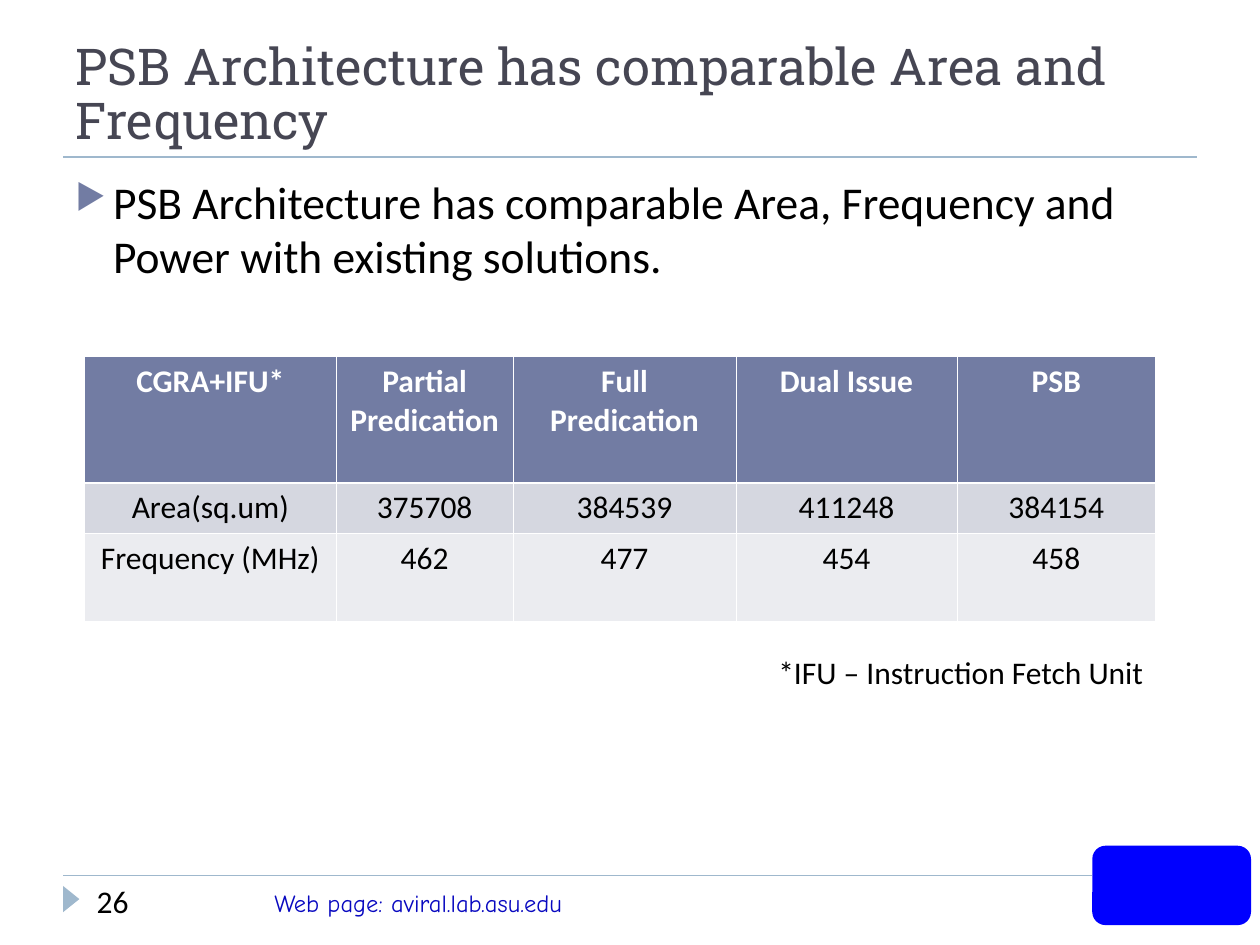
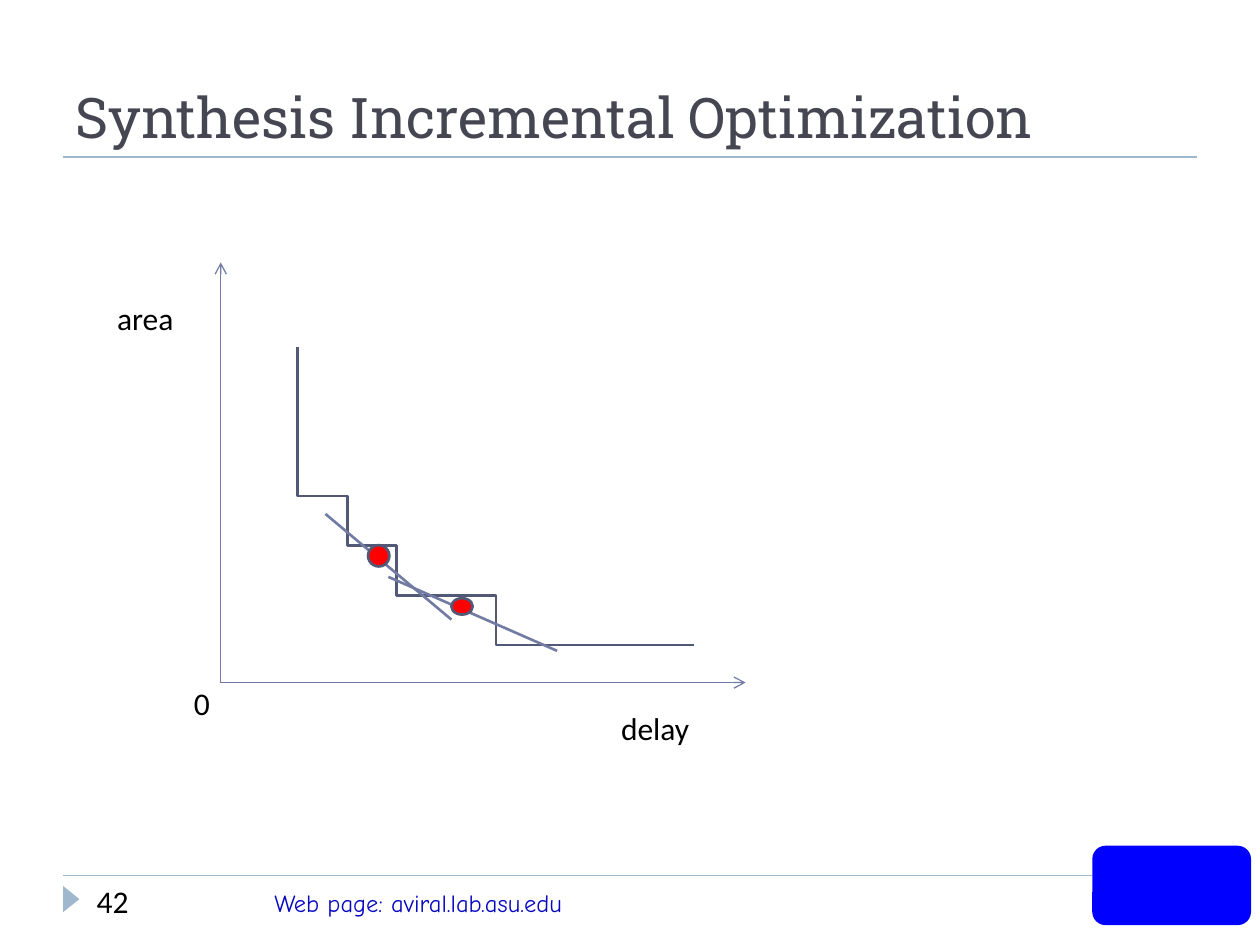
from typing import NamedTuple

from pptx import Presentation
from pptx.dml.color import RGBColor
from pptx.enum.shapes import MSO_CONNECTOR, MSO_SHAPE
from pptx.enum.text import MSO_ANCHOR, MSO_AUTO_SIZE, PP_ALIGN
from pptx.oxml.ns import qn
from pptx.util import Cm, Pt
from lxml.etree import SubElement

INK = RGBColor(0x00, 0x00, 0x00)
WHITE = RGBColor(0xFF, 0xFF, 0xFF)
TITLE_GREY = RGBColor(0x46, 0x46, 0x53)
RULE_BLUE = RGBColor(0x9F, 0xB8, 0xCD)
LINK_BLUE = RGBColor(0x08, 0x08, 0xC0)
BADGE_BLUE = RGBColor(0x00, 0x00, 0xFF)
ACCENT = RGBColor(0x72, 0x7C, 0xA3)
CURVE_BLUE = RGBColor(0x52, 0x59, 0x77)
POINT_RED = RGBColor(0xFF, 0x00, 0x00)
BAND_DARK = RGBColor(0xD5, 0xD7, 0xE0)
BAND_LIGHT = RGBColor(0xEB, 0xEC, 0xF0)

BODY_FONT = "Calibri"
TITLE_FONT = "Roboto Slab"
LINK_FONT = "Comic Neue"

THIN_BORDER, HEADER_BORDER = 0.45, 1.47


class Box(NamedTuple):
    """Left, top, width and height in centimetres."""
    left: float
    top: float
    width: float
    height: float

    def lengths(self):
        return [Cm(side) for side in self]


HEADER = Box(1.27, 0.43, 22.86, 2.74)
FOOTER = Box(1.27, 17.65, 22.86, 1.4)
STATEMENT = Box(1.27, 3.38, 22.86, 13.72)
RESULTS = Box(1.7, 7.19, 21.6, 5.34)
PLOT = Box(4.45, 5.29, 10.58, 8.47)

RESULT_COLUMNS = [5.08, 3.56, 4.5, 4.45, 4.01]
RESULT_HEIGHTS = [2.54, 1.02, 1.78]
RESULT_ROWS = [
    ["CGRA+IFU*", "Partial Predication", "Full Predication", "Dual Issue", "PSB"],
    ["Area(sq.um)", "375708", "384539", "411248", "384154"],
    ["Frequency (MHz)", "462", "477", "454", "458"],
]
# Per row: fill, text colour, top border, bottom border
RESULT_STYLES = [
    (ACCENT, WHITE, THIN_BORDER, HEADER_BORDER),
    (BAND_DARK, INK, HEADER_BORDER, THIN_BORDER),
    (BAND_LIGHT, INK, THIN_BORDER, THIN_BORDER),
]

# Plot data: centimetres to the right of and above the axes' origin
TRADE_OFF = [
    (1.17, 7.16), (1.19, 5.87), (1.3, 5.56), (1.4, 5.33), (1.42, 5.21),
    (1.55, 4.98), (1.65, 4.7), (1.73, 4.52), (1.85, 4.32), (1.96, 4.14),
    (2.01, 3.91), (2.21, 3.63), (2.29, 3.45), (2.39, 3.38), (2.54, 3.18),
    (2.67, 2.97), (2.87, 2.77), (3.05, 2.57), (3.3, 2.36), (3.58, 2.21),
    (3.86, 2.01), (4.19, 1.83), (4.37, 1.73), (4.55, 1.6), (4.75, 1.55),
    (5.03, 1.42), (5.28, 1.32), (5.56, 1.24), (6.02, 1.09), (6.38, 1.02),
    (6.6, 0.94), (7.04, 0.81), (7.34, 0.74), (7.7, 0.66), (8.28, 0.56),
    (8.38, 0.53), (8.97, 0.48), (9.35, 0.43),
]
TANGENTS = [((2.11, 3.4), (4.65, 1.27)), ((3.38, 2.13), (6.78, 0.64))]
DESIGN_POINTS = [(2.97, 2.77, 0.43, 0.43), (4.65, 1.7, 0.43, 0.33)]
PLOT_LABELS = [
    ("area", -2.34, 7.85, 2.34),
    ("delay", 7.82, -0.41, 3.18),
    ("0", -0.79, 0.1, 1.6),
]


def style_font(paragraph, size, color=INK, name=BODY_FONT, bold=False):
    for run in paragraph.runs:
        run.font.size = Pt(size)
        run.font.color.rgb = color
        run.font.name = name
        run.font.bold = bold


def add_text(slide, box, text, size=18, **font):
    frame = slide.shapes.add_textbox(*box.lengths()).text_frame
    frame.word_wrap = True
    paragraph = frame.paragraphs[0]
    paragraph.text = text
    style_font(paragraph, size, **font)
    return paragraph


def add_line(slide, start, end, color, width, arrow=False):
    line = slide.shapes.add_connector(
        MSO_CONNECTOR.STRAIGHT, *(Cm(value) for value in (*start, *end)))
    line.line.color.rgb = color
    line.line.width = Pt(width)
    if arrow:
        SubElement(line.line._get_or_add_ln(), qn("a:tailEnd"), type="arrow")
    SubElement(line._element.spPr, qn("a:effectLst"))


def add_solid(slide, preset, box, fill):
    solid = slide.shapes.add_shape(preset, *box.lengths())
    solid.shadow.inherit = False
    solid.fill.solid()
    solid.fill.fore_color.rgb = fill
    solid.line.fill.background()
    return solid


def add_header(slide, box, text, size):
    title = slide.shapes.title
    title.left, title.top, title.width, title.height = box.lengths()
    frame = title.text_frame
    frame.text = text
    frame.word_wrap = True
    frame.auto_size = MSO_AUTO_SIZE.NONE
    frame.vertical_anchor = MSO_ANCHOR.BOTTOM
    paragraph = frame.paragraphs[0]
    paragraph.alignment = PP_ALIGN.LEFT
    paragraph.line_spacing = 0.9
    style_font(paragraph, size, TITLE_GREY, TITLE_FONT)
    bottom = box.top + box.height
    add_line(slide, (box.left, bottom), (box.left + box.width, bottom), RULE_BLUE, 1)


def add_footer(slide, box, number):
    left, top = box.left, box.top
    add_line(slide, (left, top), (left + 20.75, top), RULE_BLUE, 1)
    marker = add_solid(slide, MSO_SHAPE.ISOSCELES_TRIANGLE,
                       Box(left - 0.1, top + 0.31, 0.53, 0.33), RULE_BLUE)
    marker.rotation = 90
    add_text(slide, Box(left + 0.43, top, 3.58, 1.02), str(number))
    add_text(slide, Box(left + 4.01, top + 0.13, 9.53, 0.86),
             "Web page: aviral.lab.asu.edu", 14, color=LINK_BLUE, name=LINK_FONT)
    add_solid(slide, MSO_SHAPE.ROUNDED_RECTANGLE,
              Box(left + 20.75, top - 0.6, 3.2, 1.6), BADGE_BLUE)


def add_statement(slide, box, text):
    paragraph = add_text(slide, box, text, 26)
    properties = paragraph._p.get_or_add_pPr()
    properties.set("marL", str(Cm(0.76)))
    properties.set("indent", str(Cm(-0.76)))
    bullet_color = SubElement(properties, qn("a:buClr"))
    SubElement(bullet_color, qn("a:srgbClr"), val=str(ACCENT))
    SubElement(properties, qn("a:buSzPct"), val="76000")
    SubElement(properties, qn("a:buChar"), char="▶")


def set_borders(cell, top, bottom):
    properties = cell._tc.get_or_add_tcPr()
    widths = {"lnL": THIN_BORDER, "lnR": THIN_BORDER, "lnT": top, "lnB": bottom}
    for side, width in widths.items():
        border = SubElement(properties, qn(f"a:{side}"), w=str(Pt(width)))
        fill = SubElement(border, qn("a:solidFill"))
        SubElement(fill, qn("a:srgbClr"), val=str(WHITE))


def add_results(slide, box):
    results = slide.shapes.add_table(
        len(RESULT_ROWS), len(RESULT_COLUMNS), *box.lengths()).table
    for column, width in zip(results.columns, RESULT_COLUMNS):
        column.width = Cm(width)
    for r, (values, style) in enumerate(zip(RESULT_ROWS, RESULT_STYLES)):
        fill, color, top, bottom = style
        results.rows[r].height = Cm(RESULT_HEIGHTS[r])
        for c, value in enumerate(values):
            cell = results.cell(r, c)
            set_borders(cell, top, bottom)
            cell.fill.solid()
            cell.fill.fore_color.rgb = fill
            paragraph = cell.text_frame.paragraphs[0]
            paragraph.text = value
            paragraph.alignment = PP_ALIGN.CENTER
            style_font(paragraph, 18, color, bold=r == 0)
    add_text(slide, Box(box.left + 13.74, box.top + 5.84, 8.05, 1.02),
             "*IFU – Instruction Fetch Unit")


def add_plot(slide, box):
    def place(right, up):
        return box.left + right, box.top + box.height - up

    origin = place(0, 0)
    for axis_end in (place(box.width, 0), place(0, box.height)):
        add_line(slide, origin, axis_end, ACCENT, 0.75, arrow=True)

    start, *rest = [place(*point) for point in TRADE_OFF]
    builder = slide.shapes.build_freeform(*start, scale=Cm(1))
    builder.add_line_segments(rest, close=False)
    curve = builder.convert_to_shape()
    curve.shadow.inherit = False
    curve.fill.background()
    curve.line.color.rgb = CURVE_BLUE
    curve.line.width = Pt(1.5)

    for tangent_start, tangent_end in TANGENTS:
        add_line(slide, place(*tangent_start), place(*tangent_end), ACCENT, 1.5)
    for right, up, width, height in DESIGN_POINTS:
        point = add_solid(slide, MSO_SHAPE.FLOWCHART_CONNECTOR,
                          Box(*place(right, up), width, height), POINT_RED)
        point.line.color.rgb = CURVE_BLUE
        point.line.width = Pt(1.5)
    for label, right, up, width in PLOT_LABELS:
        add_text(slide, Box(*place(right, up), width, 1.02), label)


def add_framed_slide(deck, title, title_size, number):
    slide = deck.slides.add_slide(deck.slide_layouts[5])
    add_header(slide, HEADER, title, title_size)
    add_footer(slide, FOOTER, number)
    return slide


def main():
    deck = Presentation()
    deck.slide_width, deck.slide_height = Cm(25.4), Cm(19.05)

    comparison = add_framed_slide(
        deck, "PSB Architecture has comparable Area and Frequency", 29, 26)
    add_statement(comparison, STATEMENT,
                  "PSB Architecture has comparable Area, Frequency and "
                  "Power with existing solutions.")
    add_results(comparison, RESULTS)

    optimization = add_framed_slide(deck, "Synthesis Incremental Optimization", 32, 42)
    add_plot(optimization, PLOT)

    deck.save("out.pptx")


if __name__ == "__main__":
    main()
